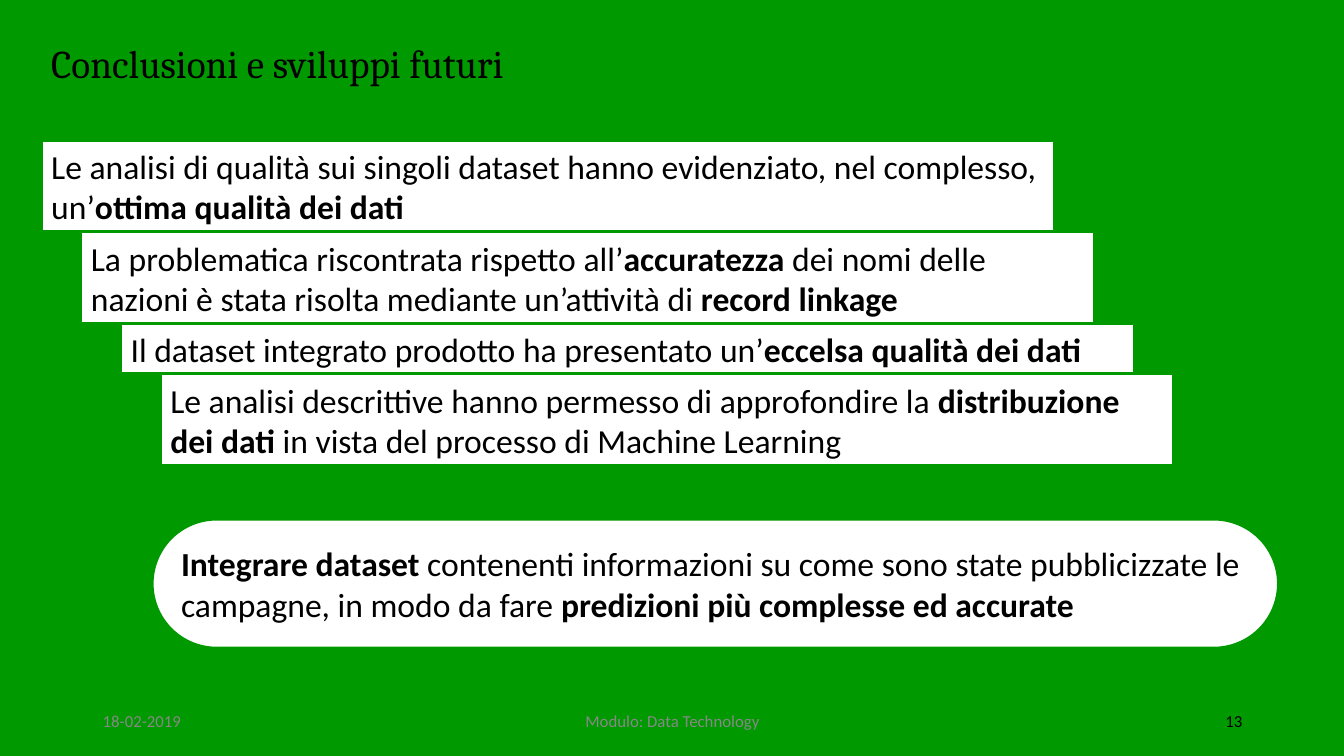
"""Build the closing slide: stepped findings and a future-work pill."""
import pptx
import pptx.dml.color
import pptx.enum.shapes
import pptx.enum.text
import pptx.util

Inches = pptx.util.Inches
RGB = pptx.dml.color.RGBColor
SHAPE = pptx.enum.shapes.MSO_SHAPE
ALIGN = pptx.enum.text.PP_ALIGN
GREEN = RGB(0x00, 0x99, 0x00)
WHITE = RGB(0xFF, 0xFF, 0xFF)
BLACK = RGB(0x00, 0x00, 0x00)
GREY = RGB(0x88, 0x88, 0x88)

TITLE = "Conclusioni e sviluppi futuri"
FOOTER = [
    ("18-02-2019", 0.92, 3, ALIGN.LEFT, GREY),
    ("Modulo: Data Technology", 4.42, 4.5, ALIGN.CENTER, GREY),
    ("13", 9.42, 3, ALIGN.RIGHT, BLACK),
]
STEPS = [
    (0.91, [("Le analisi di qualità sui singoli dataset hanno evidenziato, nel complesso, un’", False),
            ("ottima qualità dei dati", True)]),
    (0.91, [("La problematica riscontrata rispetto all’", False),
            ("accuratezza", True),
            (" dei nomi delle nazioni è stata risolta mediante un’attività di ", False),
            ("record linkage", True)]),
    (0.5, [("Il dataset integrato prodotto ha presentato un’", False),
           ("eccelsa qualità dei dati", True)]),
    (0.91, [("Le analisi descrittive hanno permesso di approfondire la ", False),
            ("distribuzione dei dati", True),
            (" in vista del processo di Machine Learning", False)]),
]
FUTURE = [
    ("Integrare dataset ", True),
    ("contenenti informazioni su come sono state pubblicizzate le campagne, in modo da fare ", False),
    ("predizioni più complesse ed accurate", True),
]
LEFT, TOP, WIDTH = 0.41, 1.39, 10.05
SHIFT = 1.18 / (len(STEPS) - 1)


def write(shape, runs, size, font="Calibri", color=BLACK, align=ALIGN.LEFT):
    frame = shape.text_frame
    frame.word_wrap = True
    frame.vertical_anchor = pptx.enum.text.MSO_ANCHOR.MIDDLE
    para = frame.paragraphs[0]
    para.alignment = align
    for text, bold in runs:
        run = para.add_run()
        run.text = text
        run.font.size = pptx.util.Pt(size)
        run.font.name = font
        run.font.bold = bold
        run.font.color.rgb = color


def add_label(slide, box, text, size, **style):
    label = slide.shapes.add_textbox(*map(Inches, box))
    write(label, [(text, False)], size, **style)


def add_panel(slide, kind, box, runs):
    panel = slide.shapes.add_shape(kind, *map(Inches, box))
    panel.shadow.inherit = False
    panel.fill.solid()
    panel.fill.fore_color.rgb = WHITE
    panel.line.color.rgb = GREEN
    panel.line.width = pptx.util.Pt(2)
    write(panel, runs, 24)
    return panel


def main():
    deck = pptx.Presentation()
    deck.slide_width, deck.slide_height = Inches(13.33), Inches(7.5)
    slide = deck.slides.add_slide(deck.slide_layouts[6])
    slide.background.fill.solid()
    slide.background.fill.fore_color.rgb = GREEN

    for text, left, width, align, color in FOOTER:
        add_label(slide, (left, 6.95, width, 0.4), text, 12, align=align, color=color)
    add_label(slide, (LEFT, 0.22, 11.76, 0.81), TITLE, 28, font="Cambria")

    top = TOP
    for row, (height, runs) in enumerate(STEPS):
        add_panel(slide, SHAPE.RECTANGLE, (LEFT + row * SHIFT, top, WIDTH, height), runs)
        top += height

    pill = add_panel(slide, SHAPE.ROUNDED_RECTANGLE, (1.51, 5.15, 11.17, 1.28), FUTURE)
    pill.adjustments[0] = 0.5
    deck.save("out.pptx")


if __name__ == "__main__":
    main()
